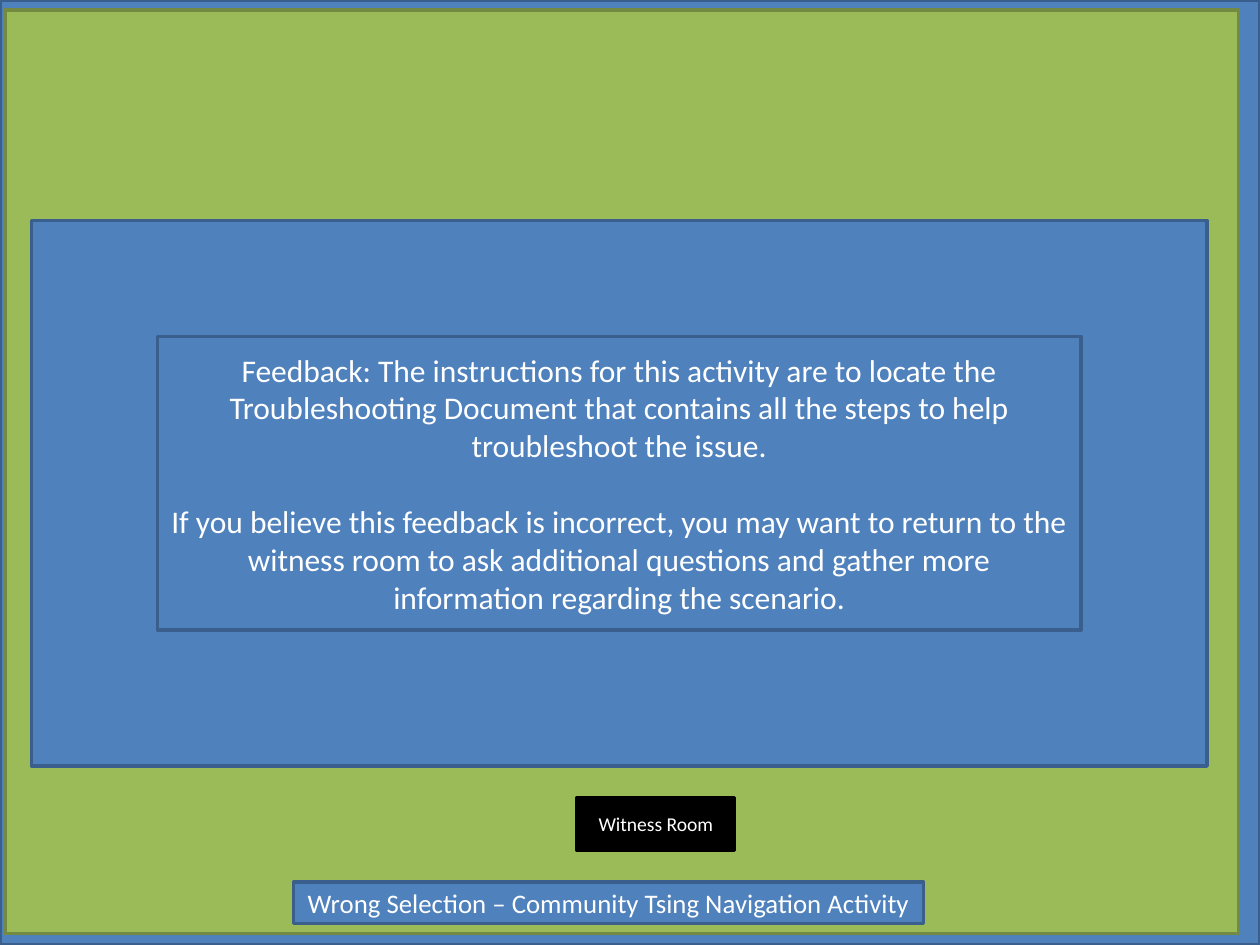
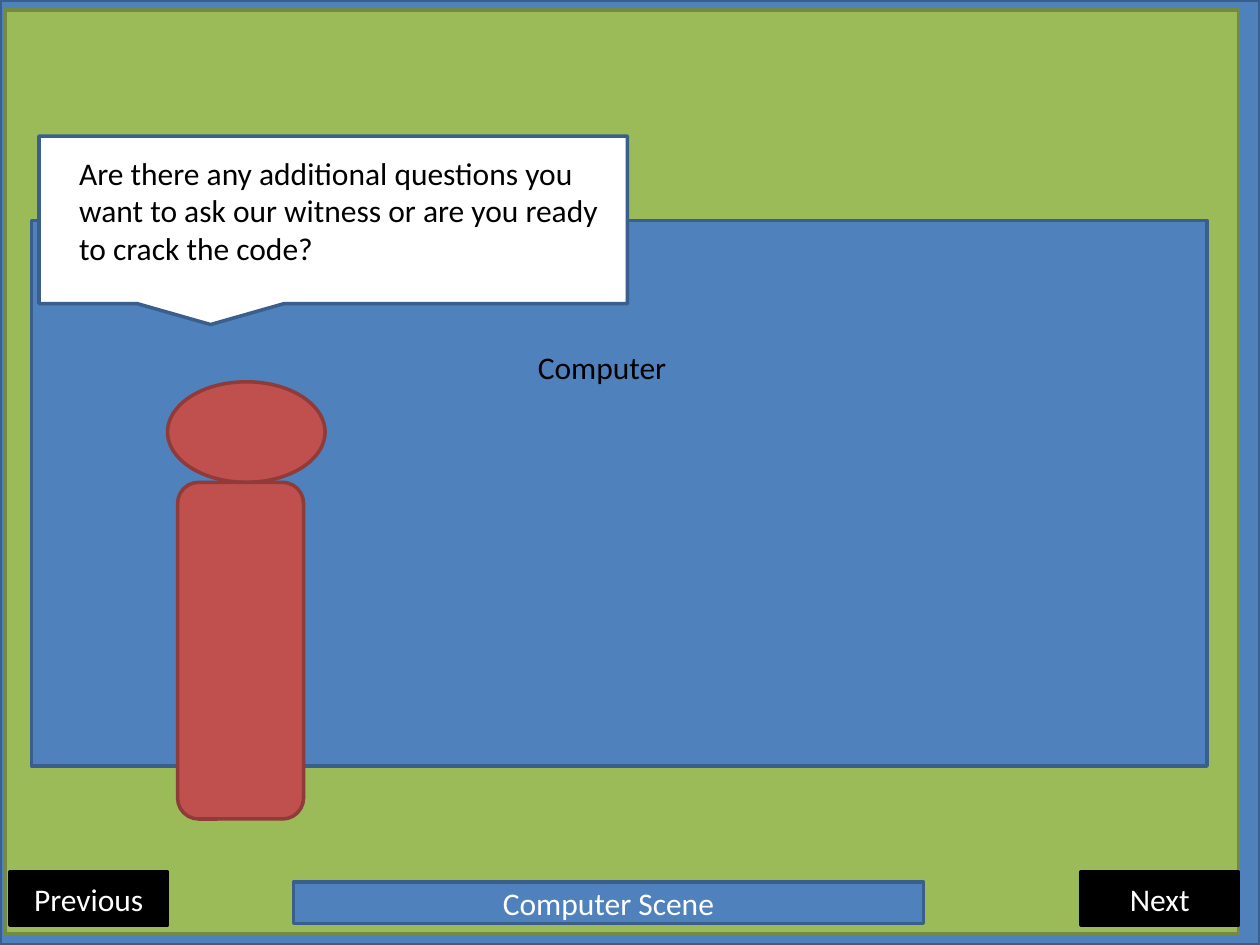
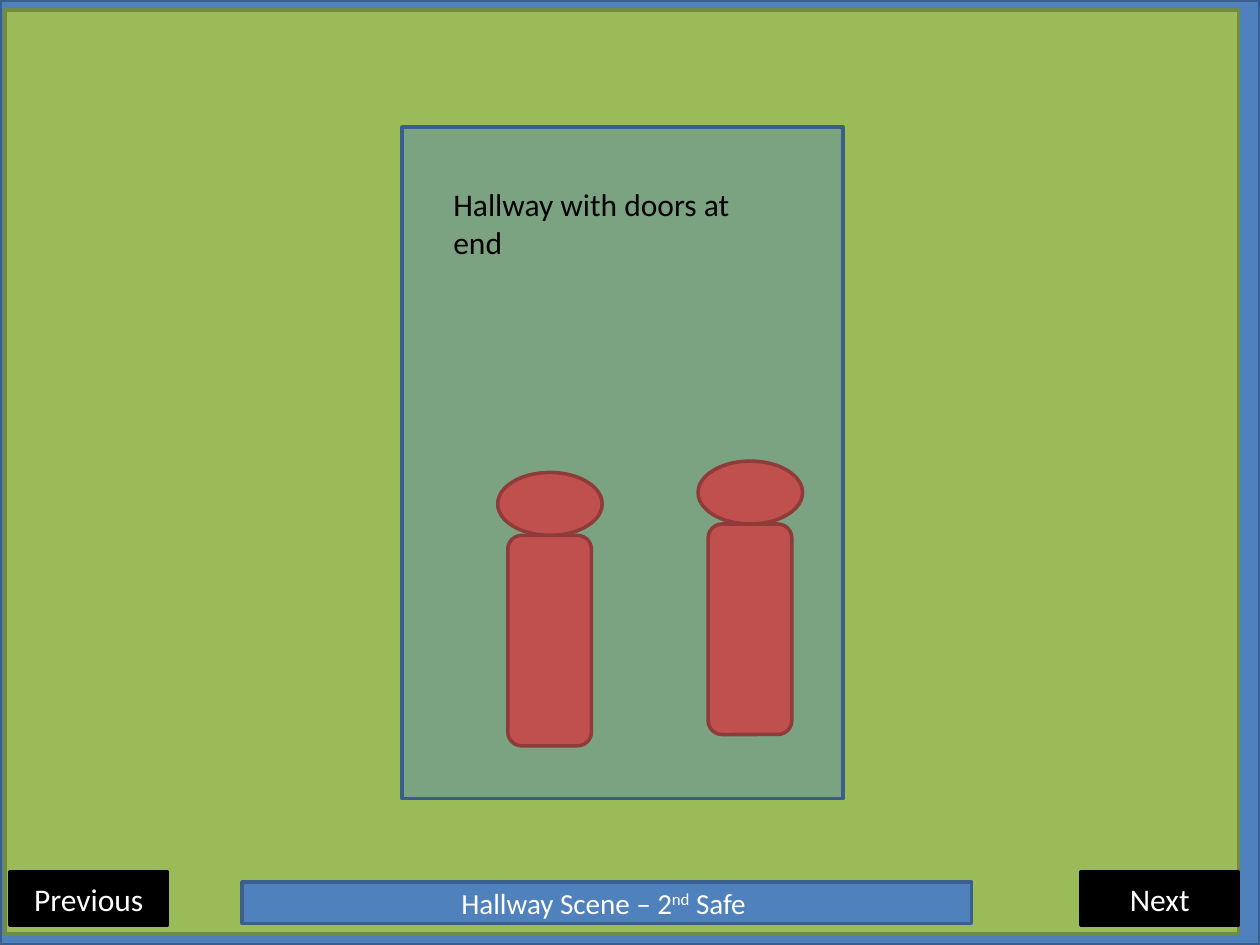
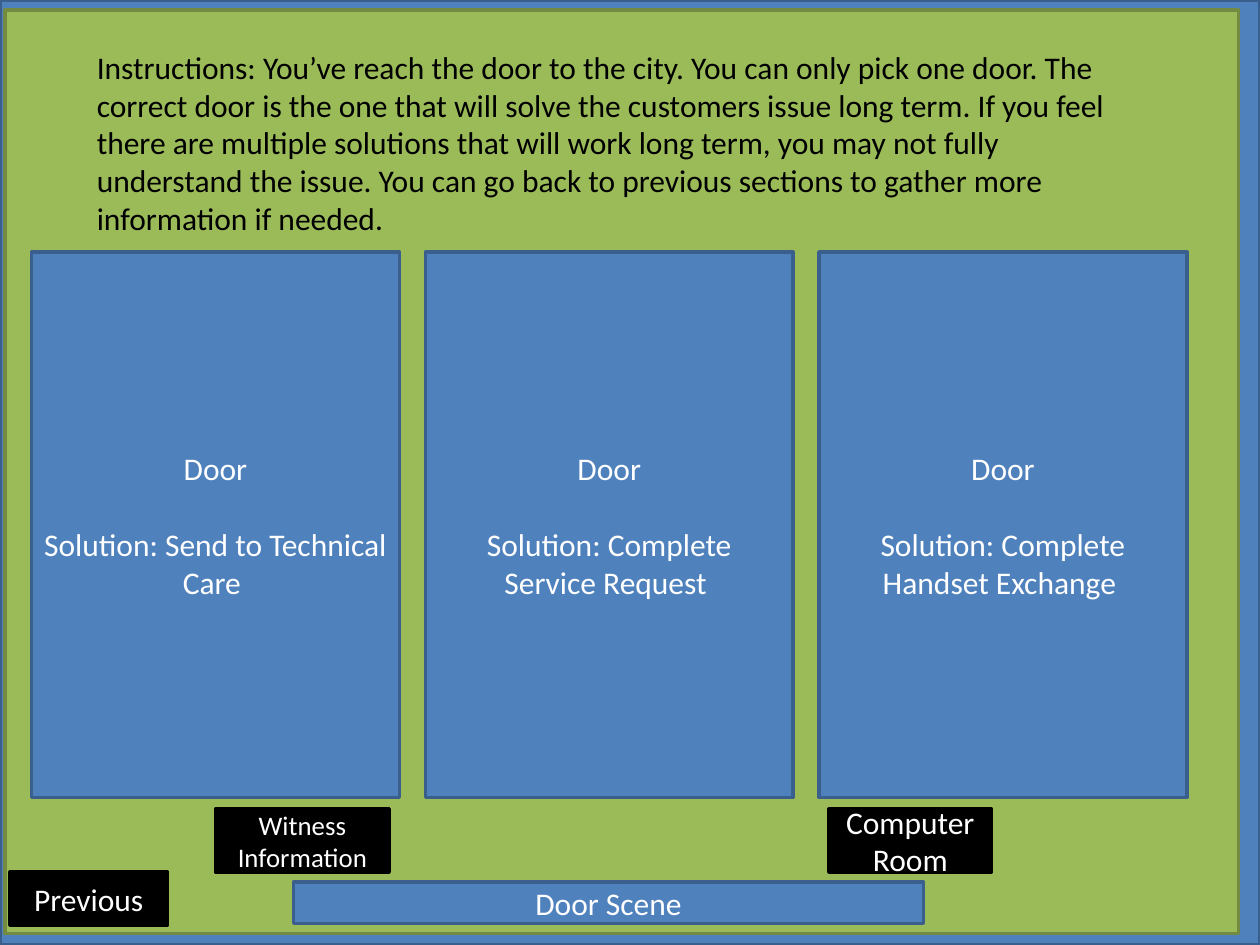
from lxml.etree import SubElement
from pptx import Presentation
from pptx.dml.color import RGBColor
from pptx.enum.shapes import MSO_SHAPE
from pptx.enum.text import MSO_ANCHOR, MSO_AUTO_SIZE, PP_ALIGN
from pptx.oxml.ns import qn
from pptx.util import Inches, Pt

BLUE = RGBColor(0x4F, 0x81, 0xBD)
BLUE_EDGE = RGBColor(0x3A, 0x5F, 0x8C)
GREEN = RGBColor(0x9B, 0xBB, 0x59)
GREEN_EDGE = RGBColor(0x73, 0x8A, 0x42)
RED = RGBColor(0xC0, 0x50, 0x4D)
RED_EDGE = RGBColor(0x8E, 0x3B, 0x39)
BLACK = RGBColor(0, 0, 0)
WHITE = RGBColor(0xFF, 0xFF, 0xFF)

FONT = "Calibri"
BLUE_STYLE = (BLUE, BLUE_EDGE)
GREEN_STYLE = (GREEN, GREEN_EDGE)
RED_STYLE = (RED, RED_EDGE)
BUTTON_STYLE = (BLACK, BLACK)
CALLOUT_STYLE = (WHITE, BLUE_EDGE)

TITLE_BOX = (2.33, 7, 5, 0.33)
WIDE_TITLE_BOX = (1.92, 7, 5.79, 0.33)
PREVIOUS_BOX = (0.08, 6.92, 1.25, 0.42)
NEXT_BOX = (8.58, 6.92, 1.25, 0.42)
SCREEN_BOX = (0.25, 1.75, 9.33, 4.33)
HEAD_SHARE = 0.23
BODY_WIDTH_SHARE = 0.8
BODY_INSET = 0.08
BLANK_LINE = 22


def set_format(target, values):
    """Set every attribute named in the values on the target."""
    for name, value in values.items():
        setattr(target, name, value)


def write_paragraphs(frame, paragraphs, size, color, align):
    """Fill a text frame; a tuple paragraph alternates normal and raised spans."""
    for index, content in enumerate(paragraphs):
        para = frame.add_paragraph() if index else frame.paragraphs[0]
        values = {"alignment": align}
        if index:
            values["space_before"] = Pt(BLANK_LINE)
        set_format(para, values)
        pieces = content if isinstance(content, tuple) else (content,)
        for position, piece in enumerate(pieces):
            span = para.add_run()
            span.text = piece
            set_format(span.font, {"name": FONT, "size": Pt(size)})
            span.font.color.rgb = color
            if position % 2:
                span.font._element.set("baseline", "30000")


def add_block(page, box, style, paragraphs=(), size=18, kind=MSO_SHAPE.RECTANGLE):
    """Draw an outlined shape with centred white text."""
    fill, edge = style
    block = page.shapes.add_shape(kind, *map(Inches, box))
    block.shadow.inherit = False
    block.fill.solid()
    block.fill.fore_color.rgb = fill
    block.line.color.rgb = edge
    block.line.width = Pt(2)
    set_format(block.text_frame, {"word_wrap": True, "vertical_anchor": MSO_ANCHOR.MIDDLE})
    write_paragraphs(block.text_frame, paragraphs, size, WHITE, PP_ALIGN.CENTER)
    return block


def add_label(page, box, text):
    """Place black left-aligned text."""
    label = page.shapes.add_textbox(*map(Inches, box))
    set_format(label.text_frame, {"word_wrap": True, "auto_size": MSO_AUTO_SIZE.SHAPE_TO_FIT_TEXT})
    write_paragraphs(label.text_frame, [text], 18, BLACK, PP_ALIGN.LEFT)


def add_person(page, box):
    """Draw a head above a rounded body within the box."""
    left, top, width, height = box
    head = height * HEAD_SHARE
    add_block(page, (left, top, width, head), RED_STYLE, kind=MSO_SHAPE.OVAL)
    body_box = (left + BODY_INSET, top + head, width * BODY_WIDTH_SHARE, height - head)
    add_block(page, body_box, RED_STYLE, kind=MSO_SHAPE.ROUNDED_RECTANGLE)


def add_callout(page, box, text):
    """Draw a speech callout with its text set inside."""
    left, top, width, _ = box
    add_block(page, box, CALLOUT_STYLE, kind=MSO_SHAPE.RECTANGULAR_CALLOUT)
    add_label(page, (left + 0.22, top + 0.09, width - 0.25, 1.01), text)


def add_hallway(page, box):
    """Draw the translucent hallway with its label and two people."""
    left, top, _, _ = box
    hallway = add_block(page, box, BLUE_STYLE)
    color = hallway.element.spPr.find(qn("a:solidFill")).find(qn("a:srgbClr"))
    SubElement(color, qn("a:alpha"), val="41000")
    add_label(page, (left + 0.31, top + 0.41, 2.83, 0.71), "Hallway with doors at end")
    for across, down in ((0.76, 2.74), (2.35, 2.65)):
        add_person(page, (left + across, top + down, 0.83, 2.17))


def add_doors(page, box, solutions):
    """Spread equally wide doors across the box."""
    left, top, width, height = box
    door_width = 2.92
    pitch = (width - door_width) / (len(solutions) - 1)
    for index, solution in enumerate(solutions):
        door_box = (left + index * pitch, top, door_width, height)
        add_block(page, door_box, BLUE_STYLE, ["Door", f"Solution: {solution} "])


def add_scene(deck, title, title_size=18, title_box=TITLE_BOX, back=True, forward=True):
    """Add a page with its frame, scene title and navigation buttons."""
    page = deck.slides.add_slide(deck.slide_layouts[6])
    add_block(page, (0, 0, 10, 7.5), BLUE_STYLE)
    add_block(page, (0.04, 0.08, 9.79, 7.33), GREEN_STYLE)
    add_block(page, title_box, BLUE_STYLE, [title], title_size)
    for shown, box, text in ((forward, NEXT_BOX, "Next"), (back, PREVIOUS_BOX, "Previous")):
        if shown:
            add_block(page, box, BUTTON_STYLE, [text])
    return page


def build_feedback(deck):
    """Build the wrong selection feedback page."""
    page = add_scene(deck, "Wrong Selection – Community Tsing Navigation Activity", 15.3,
                     back=False, forward=False)
    add_block(page, SCREEN_BOX, BLUE_STYLE)
    add_block(page, (1.25, 2.67, 7.33, 2.33), BLUE_STYLE, [
        "Feedback: The instructions for this activity are to locate the Troubleshooting "
        "Document that contains all the steps to help troubleshoot the issue.",
        "If you believe this feedback is incorrect, you may want to return to the witness "
        "room to ask additional questions and gather more information regarding the scenario.",
    ])
    add_block(page, (4.58, 6.33, 1.25, 0.42), BUTTON_STYLE, ["Witness Room"], 11.2)


def build_computer(deck):
    """Build the computer scene."""
    page = add_scene(deck, "Computer Scene")
    add_block(page, SCREEN_BOX, BLUE_STYLE)
    add_label(page, (4.17, 2.71, 1.5, 0.4), "Computer")
    add_person(page, (1.33, 3.03, 1.25, 3.47))
    add_callout(page, (0.31, 1.08, 4.67, 1.33),
                "Are there any additional questions you want to ask our witness "
                "or are you ready to crack the code?")


def build_hallway(deck):
    """Build the hallway scene."""
    page = add_scene(deck, ("Hallway Scene – 2", "nd", " Safe "), 16.6, WIDE_TITLE_BOX)
    add_hallway(page, (3.19, 1.01, 3.5, 5.33))


def build_doors(deck):
    """Build the door choice scene."""
    page = add_scene(deck, "Door Scene", forward=False)
    add_label(page, (0.67, 0.33, 8.54, 1.62),
              "Instructions: You’ve reach the door to the city. You can only pick one door. "
              "The correct door is the one that will solve the customers issue long term. "
              "If you feel there are multiple solutions that will work long term, you may not "
              "fully understand the issue. You can go back to previous sections to gather "
              "more information if needed.")
    add_doors(page, (0.25, 2, 9.17, 4.33), (
        "Send to Technical Care", "Complete Service Request", "Complete Handset Exchange"))
    add_block(page, (1.71, 6.42, 1.38, 0.5), BUTTON_STYLE, ["Witness Information"], 15.3)
    add_block(page, (6.58, 6.42, 1.29, 0.5), BUTTON_STYLE, ["Computer Room"])


def main():
    """Build and save the deck."""
    deck = Presentation()
    set_format(deck, {"slide_width": Inches(10), "slide_height": Inches(7.5)})
    for build in (build_feedback, build_computer, build_hallway, build_doors):
        build(deck)
    deck.save("out.pptx")


if __name__ == "__main__":
    main()
